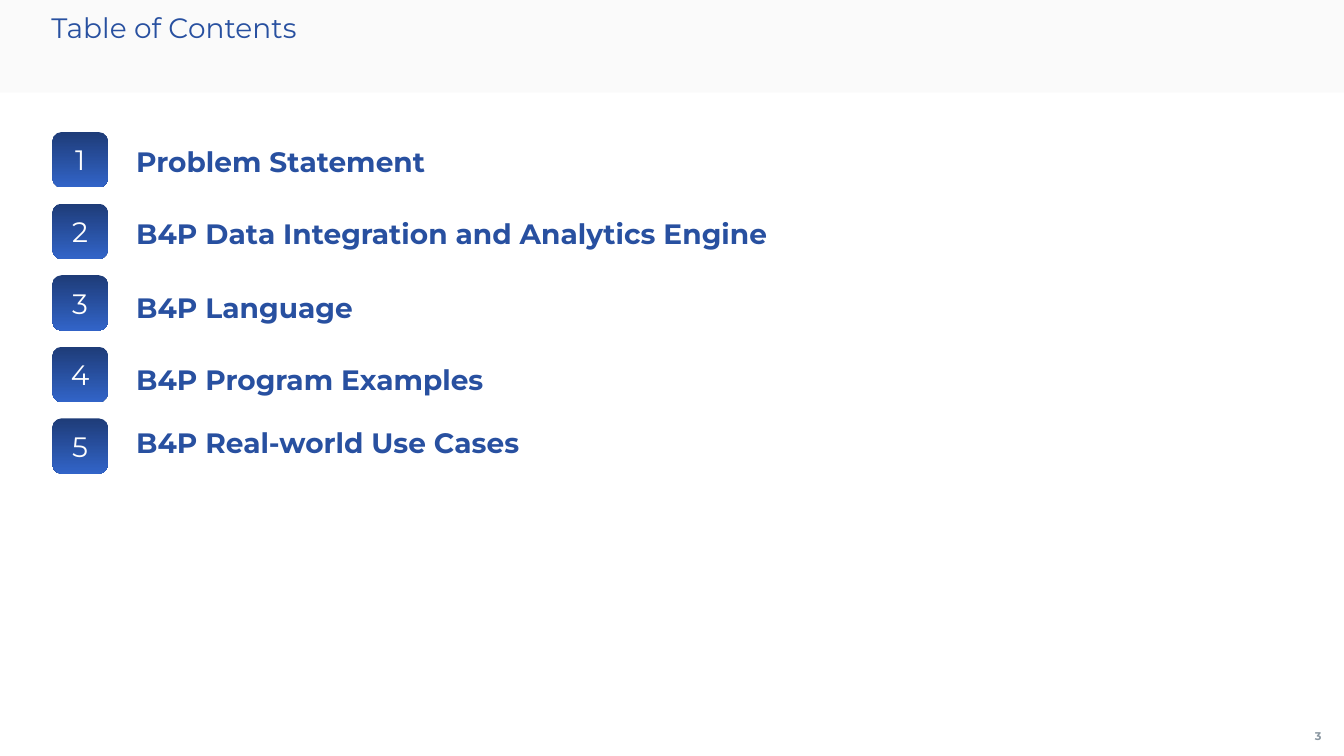
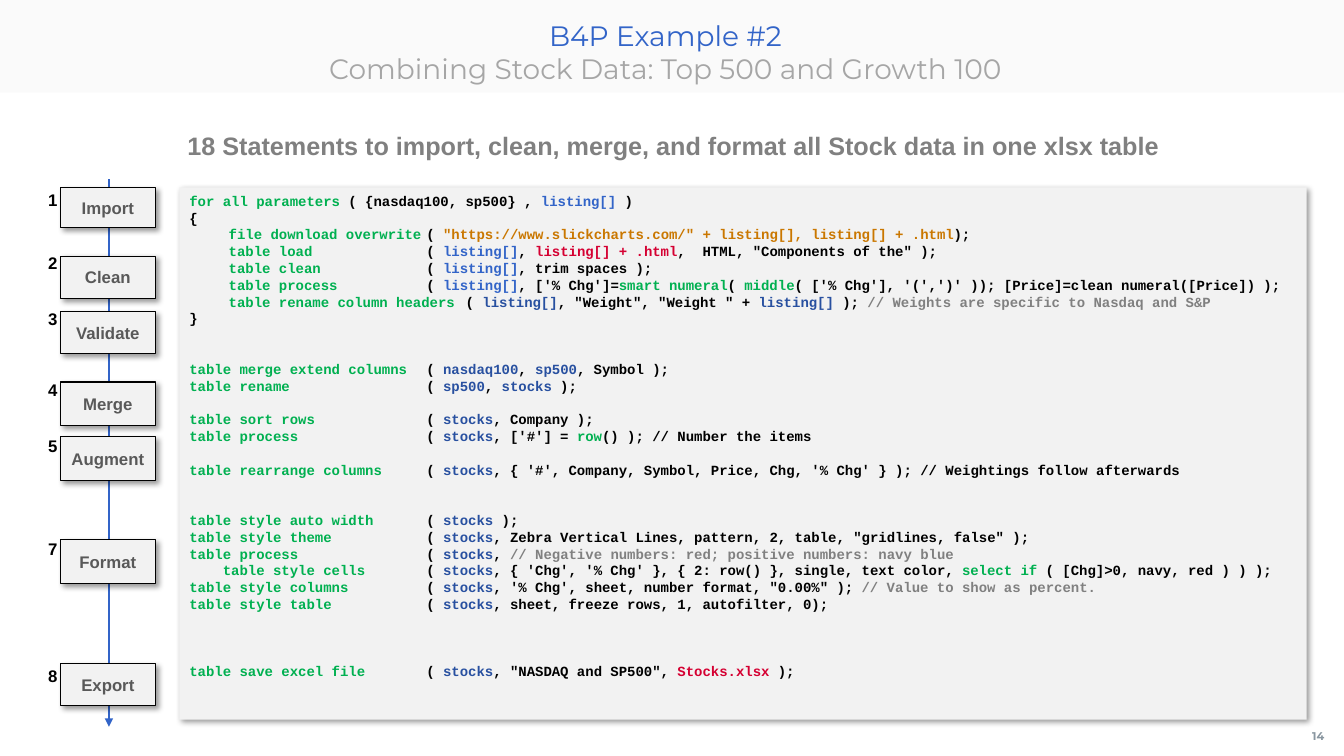
from dataclasses import dataclass
from functools import partial

from lxml import etree
from pptx import Presentation
from pptx.dml.color import RGBColor
from pptx.enum.shapes import MSO_CONNECTOR, MSO_SHAPE
from pptx.enum.text import MSO_ANCHOR, PP_ALIGN
from pptx.oxml.ns import qn
from pptx.util import Emu, Pt

RECTANGLE, ROUNDED = MSO_SHAPE.RECTANGLE, MSO_SHAPE.ROUNDED_RECTANGLE
STRAIGHT = MSO_CONNECTOR.STRAIGHT
LEFT, CENTER, RIGHT = PP_ALIGN.LEFT, PP_ALIGN.CENTER, PP_ALIGN.RIGHT
TOP, MIDDLE = MSO_ANCHOR.TOP, MSO_ANCHOR.MIDDLE
EMU_PER_PX = 9144
TIGHT = (4, 4, 4, 4)
TITLE_INSETS = (0, 5, 10, 5)
NUMBER_INSETS = (0, 5, 8, 5)
PANEL_INSETS = (10, 5, 10, 5)


@dataclass(frozen=True)
class Theme:
    navy: str = "2850A0"
    blue: str = "3264C8"
    deep_navy: str = "1E3C78"
    panel: str = "F2F2F2"
    white: str = "FFFFFF"
    black: str = "000000"
    green: str = "00B050"
    orange: str = "CA7700"
    red: str = "D50032"
    gray: str = "808080"
    light_gray: str = "A6A6A6"
    dark_gray: str = "595959"
    page_gray: str = "8996A0"
    band_alpha: int = 34
    code_line: int = 12

    def font(self, role):
        name, size, bold = {
            "title": ("Montserrat", 20, False),
            "entry": ("Montserrat", 20, True),
            "page": ("Montserrat", 8, True),
            "headline": ("Arial", 18, True),
            "step": ("Arial", 12, True),
            "code": ("Courier New", 10, True),
        }[role]
        return {"name": name, "size": Pt(size), "bold": bold}


THEME = Theme()


def px(length):
    return Emu(length * EMU_PER_PX)


def assign(target, values):
    for name, value in values.items():
        setattr(target, name, value)


def add_xml(parent, tag, **attributes):
    return etree.SubElement(parent, qn(tag), **attributes)


def colored(color, text):
    return text, color


class Deck:
    def __init__(self, theme):
        self.theme = theme
        self.presentation = Presentation()
        assign(self.presentation, {"slide_width": px(1333), "slide_height": px(750)})
        self.slide = None

    def start_slide(self, page, title_top, title_lines, title_align=LEFT):
        self.slide = self.presentation.slides.add_slide(self.presentation.slide_layouts[6])
        band = self.box(RECTANGLE, (0, 0, 1333, 92), self.theme.panel)
        tint = band._element.spPr.find(qn("a:solidFill"))[0]
        add_xml(tint, "a:alpha", val=str(self.theme.band_alpha * 1000))
        self.label((1289, 711, 45, 39), [[(page, self.theme.page_gray)]], "page",
                   CENTER, MIDDLE, NUMBER_INSETS)
        self.label((51, title_top, 1228, 79), title_lines, "title", title_align,
                   TOP, TITLE_INSETS)

    def set_text(self, frame, lines, role, align=LEFT, anchor=MIDDLE, insets=TIGHT):
        left, top, right, bottom = map(px, insets)
        assign(frame, {"word_wrap": True, "vertical_anchor": anchor,
                       "margin_left": left, "margin_top": top,
                       "margin_right": right, "margin_bottom": bottom})
        for index, line in enumerate(lines):
            paragraph = frame.add_paragraph() if index else frame.paragraphs[0]
            paragraph.alignment = align
            for text, color in line:
                run = paragraph.add_run()
                run.text = text
                assign(run.font, self.theme.font(role))
                run.font.color.rgb = RGBColor.from_string(color)

    def label(self, area, lines, role, align=LEFT, anchor=MIDDLE, insets=TIGHT):
        textbox = self.slide.shapes.add_textbox(*map(px, area))
        self.set_text(textbox.text_frame, lines, role, align, anchor, insets)

    def box(self, kind, area, fill, outline=None, raised=False):
        shape = self.slide.shapes.add_shape(kind, *map(px, area))
        shape.shadow.inherit = False
        shape.fill.solid()
        shape.fill.fore_color.rgb = RGBColor.from_string(fill)
        if outline:
            shape.line.color.rgb = RGBColor.from_string(outline)
            shape.line.width = Pt(0.75)
        else:
            shape.line.fill.background()
        if raised:
            effects = shape._element.spPr.find(qn("a:effectLst"))
            shadow = add_xml(effects, "a:outerShdw", blurRad=str(Pt(4)), dist=str(Pt(3)),
                             dir="2700000", algn="tl", rotWithShape="0")
            shade = add_xml(shadow, "a:srgbClr", val=self.theme.black)
            add_xml(shade, "a:alpha", val="40000")
        return shape

    def badge(self, area, number):
        badge = self.box(ROUNDED, area, self.theme.navy)
        badge.fill.gradient()
        badge.fill.gradient_angle = 270
        for stop, color in zip(badge.fill.gradient_stops,
                               (self.theme.deep_navy, self.theme.blue)):
            stop.color.rgb = RGBColor.from_string(color)
        self.set_text(badge.text_frame, [[(number, self.theme.white)]], "title", CENTER)

    def step(self, area, name):
        step = self.box(RECTANGLE, area, self.theme.panel, self.theme.black, raised=True)
        self.set_text(step.text_frame, [[(name, self.theme.dark_gray)]], "step", CENTER)

    def arrow(self, x, top, bottom):
        arrow = self.slide.shapes.add_connector(STRAIGHT, px(x), px(top), px(x), px(bottom))
        arrow.line.color.rgb = RGBColor.from_string(self.theme.blue)
        arrow.line.width = Pt(1.75)
        properties = arrow._element.spPr
        add_xml(properties.find(qn("a:ln")), "a:tailEnd", type="triangle")
        add_xml(properties, "a:effectLst")

    def code(self, area, program, tab_stops):
        panel = self.box(RECTANGLE, area, self.theme.panel, raised=True)
        lines = [[part if isinstance(part, tuple) else (part, self.theme.black)
                  for part in parts] for _, parts in program]
        self.set_text(panel.text_frame, lines, "code", LEFT, TOP, PANEL_INSETS)
        for paragraph, (skipped, _) in zip(panel.text_frame.paragraphs, program):
            tabs = add_xml(paragraph._p.get_or_add_pPr(), "a:tabLst")
            for stop in tab_stops:
                add_xml(tabs, "a:tab", pos=str(px(stop)), algn="l")
            assign(paragraph, {"line_spacing": Pt(self.theme.code_line),
                               "space_before": Pt(skipped * self.theme.code_line)})


command = partial(colored, THEME.green)
parameter = partial(colored, THEME.blue)
table = partial(colored, THEME.navy)
address = partial(colored, THEME.orange)
file_name = partial(colored, THEME.red)
remark = partial(colored, THEME.gray)


def in_loop(name, *rest):
    return 0, ("\t", command(name), "\t( ", *rest)


def statement(skipped, name, *rest):
    return skipped, (command(name), "\t( ", *rest)


def on_stocks(skipped, name, *rest):
    return statement(skipped, name, table("stocks"), *rest)


LISTING = parameter("listing[]")
PROGRAM = [
    (0, (command("for all parameters "), "( {nasdaq100, sp500} , ", LISTING, " )")),
    (0, ("{",)),
    in_loop("file download overwrite",
            address('"https://www.slickcharts.com/" + listing[], listing[] + .html'), ");"),
    in_loop("table load", LISTING, ", ", file_name("listing[] + .html"),
            ',  HTML, "Components of the" );'),
    in_loop("table clean", LISTING, ", trim spaces );"),
    in_loop("table process", LISTING, ", ['% Chg']=", command("smart numeral"), "( ",
            command("middle"), "( ['% Chg'], '(',')' )); [Price]=clean numeral([Price]) );"),
    in_loop("table rename column headers", table("listing[]"), ', "Weight", "Weight " + ',
            table("listing[] "), "); ", remark("// Weights are specific to Nasdaq and S&P")),
    (0, ("}",)),
    statement(2, "table merge extend columns", table("nasdaq100"), ", ", table("sp500"),
              ", Symbol );"),
    statement(0, "table rename", table("sp500"), ", ", table("stocks"), " );"),
    on_stocks(1, "table sort rows", ", Company );"),
    on_stocks(0, "table process", ", ['#'] = ", command("row"), "() ); // Number the items"),
    on_stocks(1, "table rearrange columns", ", { '#', Company, Symbol, Price, Chg, '% Chg' } );"
              " // Weightings follow afterwards"),
    on_stocks(2, "table style auto width", " );"),
    on_stocks(0, "table style theme",
              ', Zebra Vertical Lines, pattern, 2, table, "gridlines, false" );'),
    on_stocks(0, "table process", ", ",
              remark("// Negative numbers: red; positive numbers: navy blue")),
    on_stocks(0, "    table style cells",
              ", { 'Chg', '% Chg' }, { 2: row() }, single, text color, ",
              command("select if"), " ( [Chg]>0, navy, red ) ) );"),
    on_stocks(0, "table style columns", ", '% Chg', sheet, number format, \"0.00%\" ); ",
              remark("// Value to show as percent.")),
    on_stocks(0, "table style table", ", sheet, freeze rows, 1, autofilter, 0);"),
    on_stocks(3, "table save excel file", ', "NASDAQ and SP500", ',
              file_name("Stocks.xlsx "), ");"),
]

CONTENTS = [
    ("Problem Statement", 133),
    ("B4P Data Integration and Analytics Engine", 204),
    ("B4P Language", 277),
    ("B4P Program Examples", 349),
    ("B4P Real-world Use Cases", 411),
]

STEPS = [
    ("1", "Import", 186, 186, 40),
    ("2", "Clean", 249, 254, 42),
    ("3", "Validate", 304, 309, 42),
    ("4", "Merge", 375, 379, 43),
    ("5", "Augment", 430, 433, 44),
    ("7", "Format", 532, 535, 44),
    ("8", "Export", 658, 658, 42),
]


def add_contents(deck):
    deck.start_slide("3", 5, [[("Table of Contents", THEME.navy)]])
    for index, (chapter, top) in enumerate(CONTENTS):
        deck.label((131, top, 1142, 55), [[(chapter, THEME.navy)]], "entry")
        deck.badge((52, 131 + 71 * index, 55, 55), str(index + 1))


def add_example(deck):
    deck.start_slide("14", 13, [
        [("B4P Example #2", THEME.blue)],
        [("Combining Stock Data: Top 500 and Growth 100", THEME.light_gray)],
    ], CENTER)
    deck.label((176, 124, 1058, 40), [[(
        "18 Statements to import, clean, merge, and format all Stock data in one xlsx table",
        THEME.gray)]], "headline", LEFT, TOP, PANEL_INSETS)
    deck.arrow(108, 178, 721)
    deck.code((178, 186, 1118, 528), PROGRAM, (39, 235, 274))
    for number, name, number_top, top, height in STEPS:
        deck.step((60, top, 94, height), name)
        deck.label((37, number_top, 24, 24), [[(number, THEME.black)]], "step", RIGHT)


def main():
    deck = Deck(THEME)
    add_contents(deck)
    add_example(deck)
    deck.presentation.save("out.pptx")


if __name__ == "__main__":
    main()
